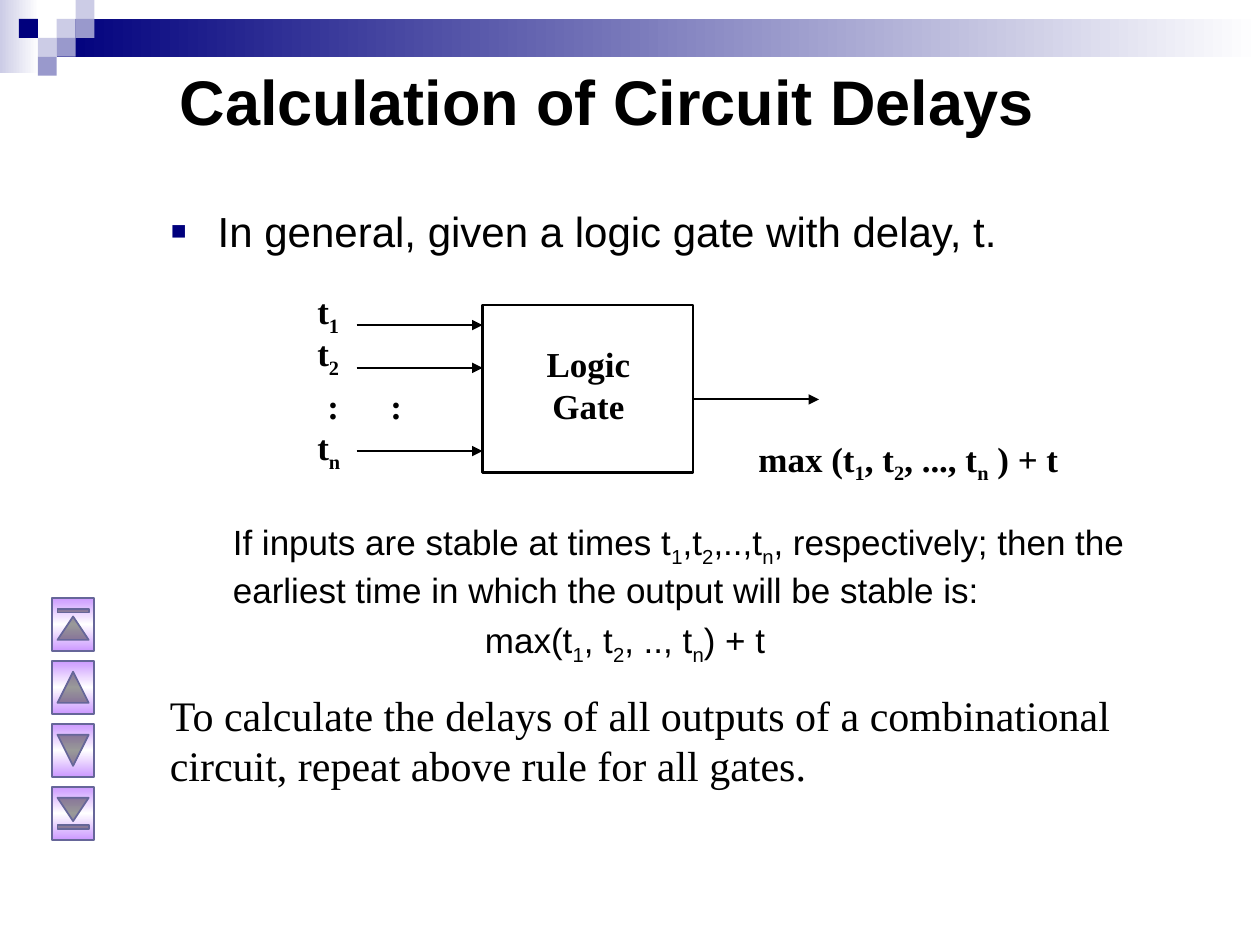
from copy import deepcopy
from lxml.etree import SubElement
from pptx import Presentation
from pptx.dml.color import RGBColor
from pptx.enum.shapes import MSO_CONNECTOR, MSO_SHAPE
from pptx.enum.text import MSO_ANCHOR, PP_ALIGN
from pptx.oxml.ns import qn
from pptx.util import Inches, Pt

BLACK = RGBColor(0x00, 0x00, 0x00)
WHITE = RGBColor(0xFF, 0xFF, 0xFF)
NAVY = RGBColor(0x00, 0x00, 0x7D)
LAVENDER = RGBColor(0xCC, 0xCC, 0xE6)
PERIWINKLE = RGBColor(0x99, 0x99, 0xCC)
VIOLET = RGBColor(0xCC, 0x99, 0xFF)
SLATE = RGBColor(0x66, 0x66, 0x99)
SANS = "Arial"
SERIF = "Times New Roman"

presentation = Presentation()
presentation.slide_width = Inches(10)
presentation.slide_height = Inches(7.5)
slide = presentation.slides.add_slide(presentation.slide_layouts[6])


def add_text(left, top, width, height, lines, size, font, bold=False):
    """Add a text box; the character after each underscore is a subscript."""
    box = slide.shapes.add_textbox(Inches(left), Inches(top), Inches(width), Inches(height))
    frame = box.text_frame
    frame.word_wrap = True
    for index, line in enumerate(lines):
        paragraph = frame.paragraphs[0] if index == 0 else frame.add_paragraph()
        paragraph.font.size = Pt(size)
        paragraph.font.name = font
        paragraph.font.bold = bold
        paragraph.font.color.rgb = BLACK
        start, *rest = line.split("_")
        paragraph.add_run().text = start
        for piece in rest:
            subscript = paragraph.add_run()
            subscript.text = piece[0]
            subscript._r.get_or_add_rPr().set("baseline", "-25000")
            if piece[1:]:
                paragraph.add_run().text = piece[1:]
    return frame


def add_box(kind, left, top, width, height, colors=()):
    """Add a shape with no fill, one colour, or an even gradient of colours."""
    shape = slide.shapes.add_shape(
        kind, Inches(left), Inches(top), Inches(width), Inches(height))
    shape.shadow.inherit = False
    shape.line.fill.background()
    if not colors:
        shape.fill.background()
    elif len(colors) == 1:
        shape.fill.solid()
        shape.fill.fore_color.rgb = colors[0]
    else:
        shape.fill.gradient()
        shape.fill.gradient_angle = 0
        stop_list = shape._element.spPr.find(qn("a:gradFill")).find(qn("a:gsLst"))
        while len(stop_list) < len(colors):
            stop_list.append(deepcopy(stop_list[-1]))
        for index, (stop, color) in enumerate(zip(shape.fill.gradient_stops, colors)):
            stop.position = index / (len(colors) - 1)
            stop.color.rgb = color
    return shape


# Banner: two fading bars and a mosaic of small squares
add_box(MSO_SHAPE.RECTANGLE, 0, 0, 0.31, 0.58, [LAVENDER, WHITE])
add_box(MSO_SHAPE.RECTANGLE, 0.45, 0.15, 9.55, 0.3, [NAVY, WHITE])
SQUARE = 0.15
for column, row, color in [
    (3, 1, LAVENDER), (4, 0, LAVENDER), (4, 1, PERIWINKLE), (2, 2, LAVENDER),
    (1, 1, NAVY), (3, 2, PERIWINKLE), (2, 3, PERIWINKLE),
]:
    add_box(MSO_SHAPE.RECTANGLE, column * SQUARE, row * SQUARE, SQUARE, SQUARE, [color])

# Title
title = add_text(1.33, 0.17, 8.5, 1.25, ["Calculation of Circuit Delays"], 36, SANS, True)
title.vertical_anchor = MSO_ANCHOR.MIDDLE

# Bulleted statement
statement = add_text(1.25, 1.58, 8.5, 0.67,
                     ["In general, given a logic gate with delay, t."], 24, SANS)
properties = statement.paragraphs[0]._p.get_or_add_pPr()
properties.set("marL", str(Inches(0.38)))
properties.set("indent", str(-Inches(0.38)))
bullet_color = SubElement(properties, qn("a:buClr"))
SubElement(bullet_color, qn("a:srgbClr")).set("val", str(NAVY))
SubElement(properties, qn("a:buSzPct")).set("val", "120000")
SubElement(properties, qn("a:buFont")).set("typeface", SANS)
SubElement(properties, qn("a:buChar")).set("char", "▪")
properties.append(properties.find(qn("a:defRPr")))  # defaults follow the bullet

# Rule for the output time
rule = add_text(1.75, 4.08, 7.67, 1.25, [
    "If inputs are stable at times t_1,t_2,..,t_n, respectively; "
    "then the earliest time in which the output will be stable is:",
    "max(t_1, t_2, .., t_n) + t",
], 20, SANS)
formula = rule.paragraphs[1]
formula.space_before = Pt(5)
formula._p.get_or_add_pPr().set("marL", str(Inches(2)))

# Logic gate
gate = add_box(MSO_SHAPE.RECTANGLE, 3.83, 2.42, 1.67, 1.33)
gate.line.color.rgb = BLACK
gate.line.width = Pt(1.5)
gate_label = add_text(4.17, 2.67, 1, 0.77, ["Logic", "Gate"], 20, SERIF, True)
for paragraph in gate_label.paragraphs:
    paragraph.alignment = PP_ALIGN.CENTER

# Input and output arrows
for left, y in [(2.83, 2.58), (2.83, 2.92), (2.83, 3.58), (5.5, 3.17)]:
    arrow = slide.shapes.add_connector(
        MSO_CONNECTOR.STRAIGHT, Inches(left), Inches(y), Inches(left + 1), Inches(y))
    arrow.line.color.rgb = BLACK
    arrow.line.width = Pt(1.25)
    SubElement(arrow.line._get_or_add_ln(), qn("a:tailEnd")).set("type", "triangle")
    SubElement(arrow._element.spPr, qn("a:effectLst"))

# Signal time labels
for left, top, width, label in [
    (2.42, 2.25, 0.42, "t_1"), (2.42, 2.58, 0.42, "t_2"), (2.42, 3.33, 0.42, "t_n"),
    (2.5, 3, 0.42, ":"), (3, 3, 0.42, ":"),
    (5.92, 3.42, 2.92, "max (t_1, t_2, ..., t_n ) + t"),
]:
    add_text(left, top, width, 0.48, [label], 20, SERIF, True)

# Conclusion
add_text(1.25, 5.42, 8.5, 1, [
    "To calculate the delays of all outputs of a combinational circuit, "
    "repeat above rule for all gates."], 24, SERIF)

# Navigation buttons, turned to point up and down
for index, kind in enumerate([
    MSO_SHAPE.ACTION_BUTTON_BEGINNING, MSO_SHAPE.ACTION_BUTTON_BACK_OR_PREVIOUS,
    MSO_SHAPE.ACTION_BUTTON_FORWARD_OR_NEXT, MSO_SHAPE.ACTION_BUTTON_END,
]):
    button = add_box(kind, 0.37, 4.79 + index * 0.5, 0.42, 0.33, [VIOLET, WHITE, VIOLET])
    button.rotation = 90
    button.line.color.rgb = SLATE
    button.line.width = Pt(1)

presentation.save("out.pptx")
